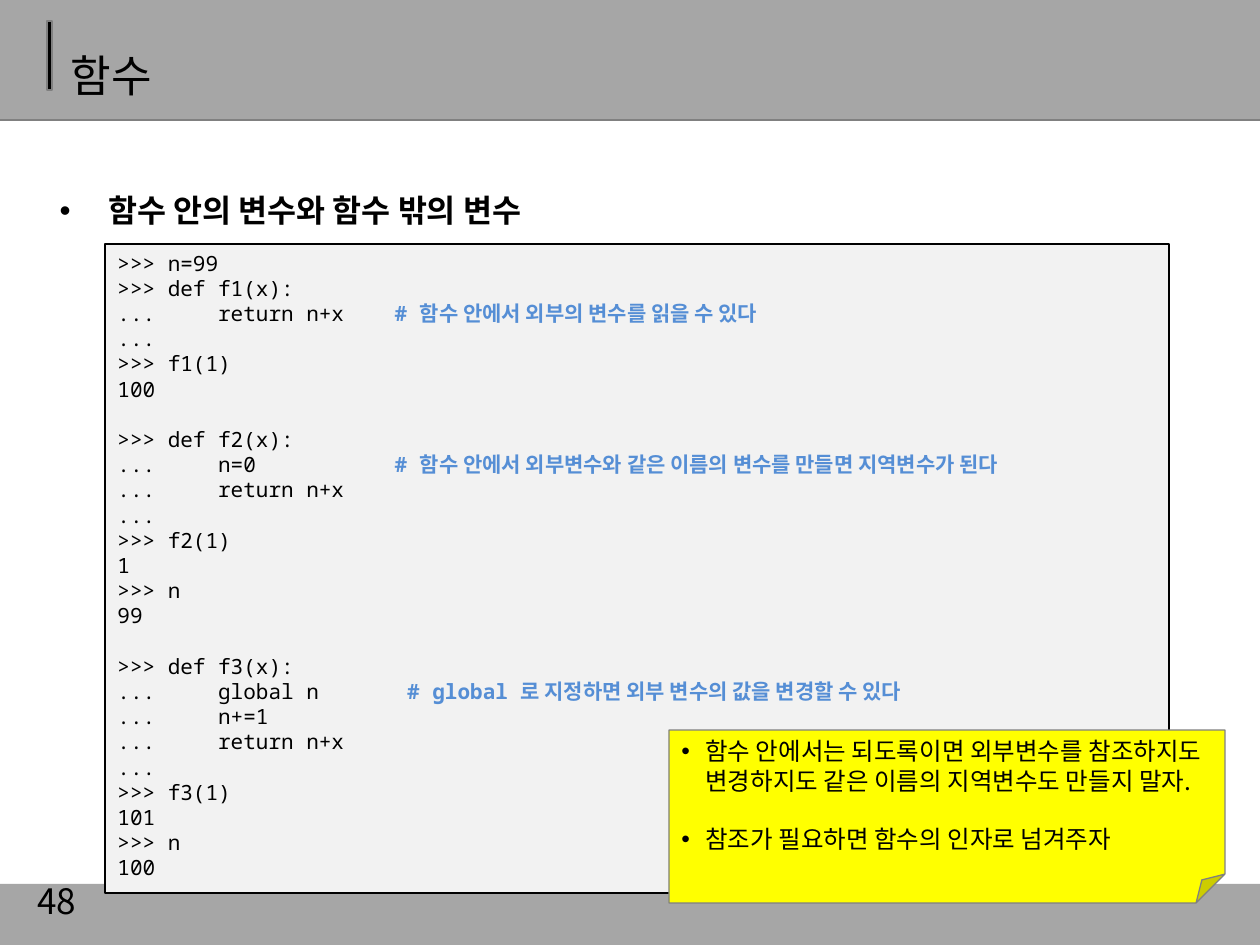
from dataclasses import dataclass

from lxml.etree import SubElement
from pptx import Presentation
from pptx.dml.color import RGBColor
from pptx.enum.shapes import MSO_CONNECTOR, MSO_SHAPE
from pptx.enum.text import MSO_ANCHOR, MSO_AUTO_SIZE, PP_ALIGN
from pptx.oxml.ns import qn
from pptx.util import Pt

EMU_PER_PX = 914400 / 126


@dataclass(frozen=True)
class Theme:
    """Colours, fonts and type sizes of the slide."""
    band: str = "A6A6A6"
    rule: str = "808080"
    ink: str = "000000"
    panel: str = "F2F2F2"
    note: str = "FFFF00"
    comment: str = "558ED5"
    text_font: str = "Noto Sans CJK KR"
    code_font: str = "Noto Sans Mono"
    title_size: float = 25.2
    title_line: float = 44
    topic_size: float = 18
    topic_line: float = 44.5
    code_size: float = 12
    code_line: float = 14.4
    note_size: float = 14
    note_line: float = 16.8
    number_size: float = 20
    hairline: float = 0.75


THEME = Theme()

CODE_BLOCKS = (
    """>>> n=99
>>> def f1(x):
...     return n+x    # 함수 안에서 외부의 변수를 읽을 수 있다
...
>>> f1(1)
100""",
    """>>> def f2(x):
...     n=0           # 함수 안에서 외부변수와 같은 이름의 변수를 만들면 지역변수가 된다
...     return n+x
...
>>> f2(1)
1
>>> n
99""",
    """>>> def f3(x):
...     global n       # global 로 지정하면 외부 변수의 값을 변경할 수 있다
...     n+=1
...     return n+x
...
>>> f3(1)
101
>>> n
100""",
)

NOTES = (
    "함수 안에서는 되도록이면 외부변수를 참조하지도 변경하지도 같은 이름의 지역변수도 만들지 말자.",
    "참조가 필요하면 함수의 인자로 넘겨주자",
)


def px(length):
    """Turn pixels into EMU."""
    return round(length * EMU_PER_PX)


def place(box, left, top, width, height):
    """Move and size a box in pixels."""
    box.left, box.top, box.width, box.height = map(px, (left, top, width, height))


def style_span(span, size, font=THEME.text_font, color=THEME.ink, bold=False):
    """Format one run, for Latin and Korean text alike."""
    span.font.size = Pt(size)
    span.font.name = font
    span.font.bold = bold
    span.font.color.rgb = RGBColor.from_string(color)
    SubElement(span.font._element, qn("a:ea"), typeface=THEME.text_font)


def set_lines(para, line, before=0):
    """Left-align a paragraph with fixed line height."""
    para.alignment = PP_ALIGN.LEFT
    para.line_spacing = Pt(line)
    para.space_before = Pt(before)


def add_bullet(para, indent):
    """Give a paragraph a hanging round bullet."""
    properties = para._p.get_or_add_pPr()
    properties.set("marL", str(px(indent)))
    properties.set("indent", str(-px(indent)))
    SubElement(properties, qn("a:buFont"), typeface="Arial")
    SubElement(properties, qn("a:buChar"), char="•")


def open_frame(box, anchor=MSO_ANCHOR.TOP):
    """Return the wrapped, fixed-size text frame of a box."""
    frame = box.text_frame
    frame.word_wrap = True
    frame.auto_size = MSO_AUTO_SIZE.NONE
    frame.vertical_anchor = anchor
    return frame


def add_panel(page, bounds, fill, line=None, kind=MSO_SHAPE.RECTANGLE):
    """Add a flat filled shape with an optional hairline."""
    box = page.shapes.add_shape(kind, *map(px, bounds))
    box.shadow.inherit = False
    box.fill.solid()
    box.fill.fore_color.rgb = RGBColor.from_string(fill)
    if line:
        box.line.color.rgb = RGBColor.from_string(line)
        box.line.width = Pt(THEME.hairline)
    else:
        box.line.fill.background()
    return box


def add_rule(page, top, width):
    """Add a horizontal hairline from the left edge."""
    rule = page.shapes.add_connector(
        MSO_CONNECTOR.STRAIGHT, 0, px(top), px(width), px(top))
    rule.line.color.rgb = RGBColor.from_string(THEME.rule)
    rule.line.width = Pt(THEME.hairline)
    SubElement(rule._element.spPr, qn("a:effectLst"))


def fill_placeholder(page, box, bounds, text, size, line, bold=False, indent=0):
    """Set a one-line placeholder and bring it in front of the bands."""
    page.shapes._spTree.append(box._element)
    place(box, *bounds)
    frame = open_frame(box)
    frame.text = text
    para = frame.paragraphs[0]
    set_lines(para, line)
    if indent:
        add_bullet(para, indent)
    style_span(para.runs[0], size, bold=bold)


def next_para(frame, first):
    """Return the opening paragraph or a new one."""
    return frame.paragraphs[0] if first else frame.add_paragraph()


def add_code(page, bounds, blocks):
    """Add the code panel, with a line of space between blocks."""
    frame = open_frame(add_panel(page, bounds, THEME.panel, THEME.ink))
    for block_index, block in enumerate(blocks):
        for line_index, line in enumerate(block.splitlines()):
            para = next_para(frame, block_index + line_index == 0)
            gap = THEME.code_line if block_index and not line_index else 0
            set_lines(para, THEME.code_line, gap)
            code, mark, comment = line.partition("# ")
            span = para.add_run()
            span.text = code
            style_span(span, THEME.code_size, THEME.code_font)
            if mark:
                span = para.add_run()
                span.text = mark + comment
                style_span(span, THEME.code_size, THEME.code_font, THEME.comment, True)


def add_note(page, bounds, items):
    """Add the folded note with its bullets."""
    box = add_panel(page, bounds, THEME.note, THEME.rule, MSO_SHAPE.FOLDED_CORNER)
    frame = open_frame(box)
    for index, item in enumerate(items):
        para = next_para(frame, index == 0)
        para.text = item
        set_lines(para, THEME.note_line, THEME.note_line if index else 0)
        add_bullet(para, 24)
        style_span(para.runs[0], THEME.note_size)


def add_page_number(page, bounds, number):
    """Add the page number."""
    frame = open_frame(page.shapes.add_textbox(*map(px, bounds)), MSO_ANCHOR.MIDDLE)
    frame.text = number
    style_span(frame.paragraphs[0].runs[0], THEME.number_size)


def main():
    """Build and save the slide."""
    deck = Presentation()
    deck.slide_width, deck.slide_height = px(1260), px(945)
    page = deck.slides.add_slide(deck.slide_layouts[1])
    title, body = page.placeholders
    add_panel(page, (0, -1, 1260, 120), THEME.band)
    add_rule(page, 120, 1260)
    add_panel(page, (47, 21, 5, 69), THEME.ink, THEME.rule)
    add_panel(page, (0, 884, 1260, 61), THEME.band)
    fill_placeholder(page, body, (47, 145, 1169, 649), "함수 안의 변수와 함수 밖의 변수",
                     THEME.topic_size, THEME.topic_line, bold=True, indent=49)
    fill_placeholder(page, title, (58, 18, 1086, 78), "함수",
                     THEME.title_size, THEME.title_line)
    add_code(page, (105, 244, 1064, 649), CODE_BLOCKS)
    add_note(page, (669, 730, 556, 173), NOTES)
    add_page_number(page, (25, 876, 294, 50), "48")
    deck.save("out.pptx")


if __name__ == "__main__":
    main()
